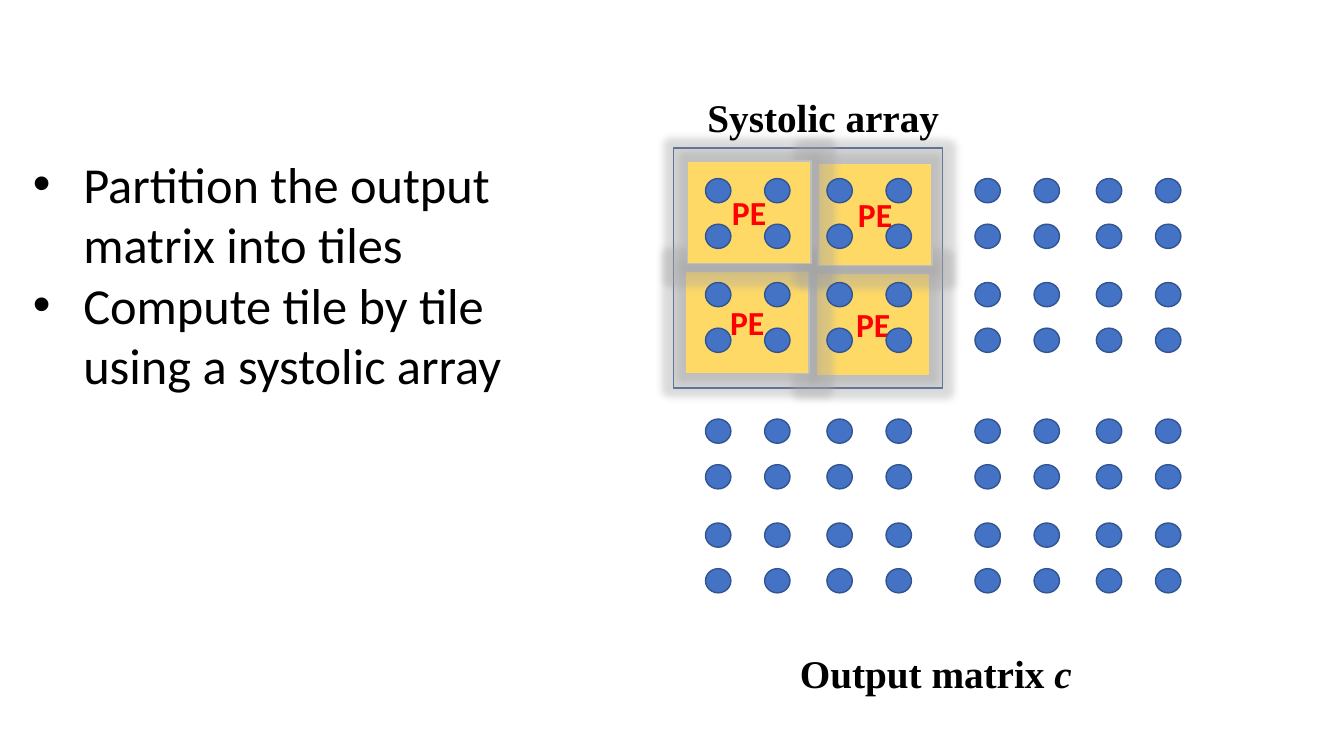
from dataclasses import dataclass
from itertools import product

from lxml.etree import SubElement
from pptx import Presentation
from pptx.dml.color import RGBColor
from pptx.enum.shapes import MSO_SHAPE
from pptx.enum.text import MSO_ANCHOR, MSO_AUTO_SIZE, PP_ALIGN
from pptx.oxml.ns import qn
from pptx.util import Cm, Pt


@dataclass(frozen=True)
class Theme:
    """Colours, fonts and type sizes of the slide."""
    sans: str = "Calibri"
    serif: str = "Times New Roman"
    ink: str = "000000"
    label: str = "FF0000"
    panel: str = "F2F2F2"
    tile: str = "FFD966"
    rim: str = "BFBFBF"
    glow: str = "A5A5A5"
    dot: str = "4472C4"
    edge: str = "325491"
    list_size: int = 36
    head_size: int = 28
    tile_size: int = 24


@dataclass(frozen=True)
class Box:
    """A frame in centimetres."""
    left: float
    top: float
    width: float
    height: float

    def inner(self, left, top, width, height):
        """Return a frame measured from this one's corner."""
        return Box(self.left + left, self.top + top, width, height)

    def cm(self):
        """Return the four lengths."""
        return [Cm(n) for n in (self.left, self.top, self.width, self.height)]


THEME = Theme()


def style(run, font, size, colour, bold=False, slant=False):
    """Format one run."""
    face = run.font
    face.name, face.size = font, Pt(size)
    face.bold, face.italic = bold, slant
    face.color.rgb = RGBColor.from_string(colour)


def add_form(shapes, kind, box, fill, line):
    """Add a flat shape with a thin outline."""
    form = shapes.add_shape(kind, *box.cm())
    form.shadow.inherit = False
    form.fill.solid()
    form.fill.fore_color.rgb = RGBColor.from_string(fill)
    form.line.color.rgb = RGBColor.from_string(line)
    form.line.width = Pt(1)
    return form


def add_glow(form):
    """Put a soft grey glow round a shape."""
    effect = form._element.spPr.find(qn("a:effectLst"))
    glow = SubElement(effect, qn("a:glow"), rad=str(Pt(11)))
    tint = SubElement(glow, qn("a:srgbClr"), val=THEME.glow)
    SubElement(tint, qn("a:alpha"), val="40000")


def add_head(shapes, box, plain, slant=""):
    """Add a bold heading, with an optional slanted end."""
    frame = shapes.add_textbox(*box.cm()).text_frame
    frame.word_wrap = False
    frame.auto_size = MSO_AUTO_SIZE.SHAPE_TO_FIT_TEXT
    for text in filter(None, (plain, slant)):
        run = frame.paragraphs[0].add_run()
        run.text = text
        style(run, THEME.serif, THEME.head_size, THEME.ink, True, text == slant)


def add_list(shapes, box, items):
    """Add the bullet list."""
    frame = shapes.add_textbox(*box.cm()).text_frame
    frame.word_wrap = True
    frame.auto_size = MSO_AUTO_SIZE.SHAPE_TO_FIT_TEXT
    frame.text = "\n".join(items)
    for para in frame.paragraphs:
        props = para._p.get_or_add_pPr()
        props.set("marL", str(Cm(1.27)))
        props.set("indent", str(-Cm(1.27)))
        SubElement(props, qn("a:buFont"), typeface="Arial")
        SubElement(props, qn("a:buChar"), char="•")
        style(para.runs[0], THEME.sans, THEME.list_size, THEME.ink)


def add_array(shapes, box):
    """Add the systolic array: panel, four PE tiles and heading."""
    add_form(shapes, MSO_SHAPE.RECTANGLE, box, THEME.panel, THEME.edge)
    for row, col in product((1, 0), (1, 0)):
        place = box.inner(0.35 + 3.3 * col - 0.05 * row,
                          0.33 + 2.77 * row + 0.05 * col,
                          (3.12, 2.87)[col], 2.58)
        tile = add_form(shapes, MSO_SHAPE.RECTANGLE, place, THEME.tile, THEME.rim)
        add_glow(tile)
        frame = tile.text_frame
        frame.text = "PE"
        frame.vertical_anchor = MSO_ANCHOR.MIDDLE
        para = frame.paragraphs[0]
        para.alignment = PP_ALIGN.CENTER
        style(para.runs[0], THEME.sans, THEME.tile_size, THEME.label, True)
    add_head(shapes, box.inner(0.61, -1.5, 6.4, 1.45), "Systolic array")


def add_matrix(shapes, box):
    """Add the output matrix: dots in blocks of pairs, and heading."""
    add_head(shapes, box.inner(2.13, 11.73, 7.44, 1.45), "Output matrix ", "c")
    across = [6.79 * block + 3.06 * pair + 1.49 * one
              for block, pair, one in product(range(2), repeat=3)]
    down = [6.06 * block + 2.62 * pair + 1.15 * one
            for block, pair, one in product(range(2), repeat=3)]
    for top, left in product(down, across):
        add_form(shapes, MSO_SHAPE.OVAL, box.inner(left, top, 0.64, 0.61),
                 THEME.dot, THEME.edge)


def add_page(deck, box):
    """Add the slide and place its regions."""
    shapes = deck.slides.add_slide(deck.slide_layouts[6]).shapes
    add_array(shapes.add_group_shape().shapes, box.inner(16.97, 3.73, 6.78, 6.05))
    add_matrix(shapes.add_group_shape().shapes, box.inner(17.78, 4.5, 11.98, 10.42))
    add_list(shapes, box.inner(0.58, 3.73, 14.43, 6.4),
             ["Partition the output matrix into tiles",
              "Compute tile by tile using a systolic array"])


deck = Presentation()
deck.slide_width, deck.slide_height = Cm(33.87), Cm(19.05)
add_page(deck, Box(0, 0, 33.87, 19.05))
deck.save("out.pptx")
